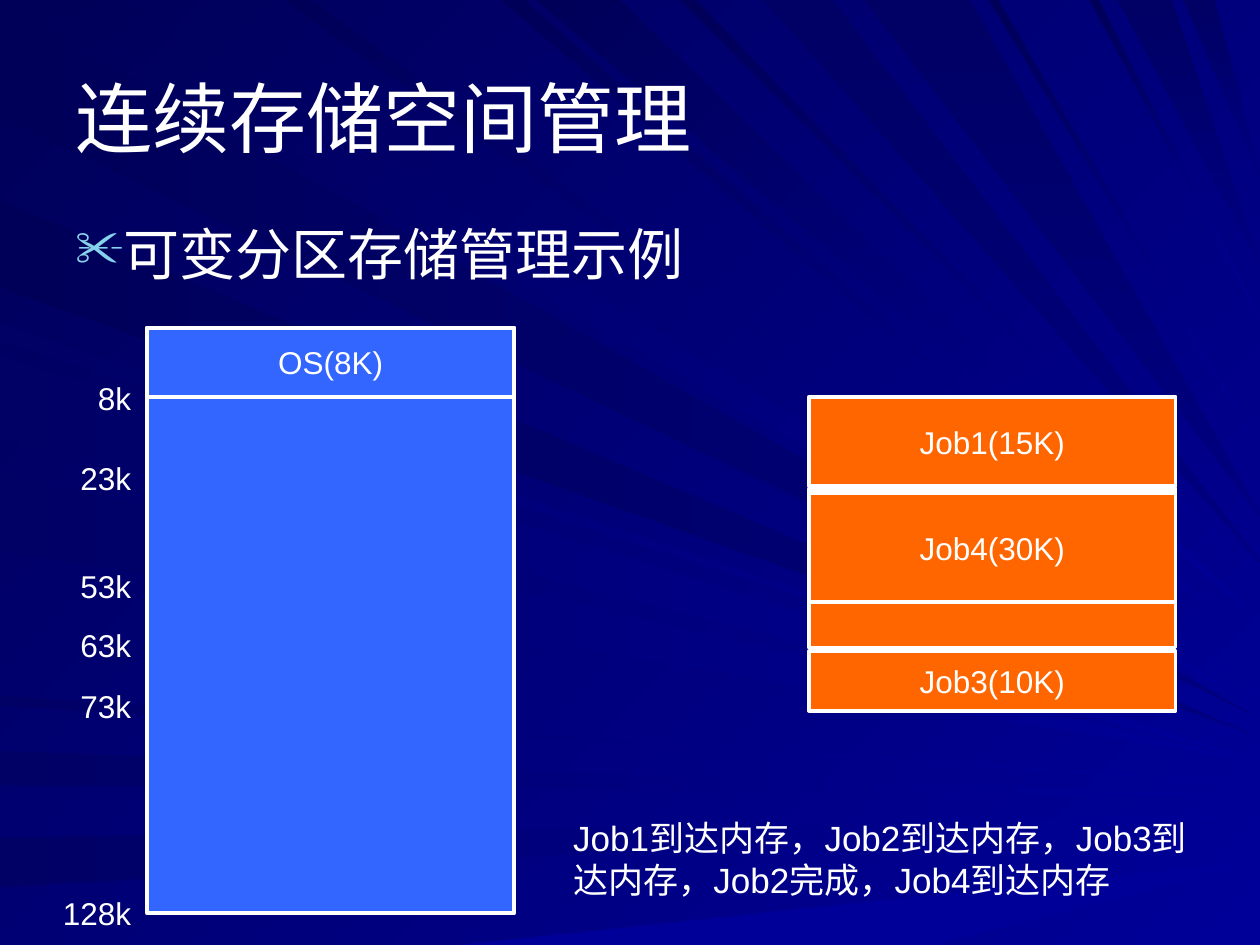
"""Build the slide on variable-partition memory management."""
from lxml import etree
from pptx import Presentation
from pptx.dml.color import RGBColor
from pptx.enum.shapes import MSO_SHAPE
from pptx.enum.text import MSO_ANCHOR, PP_ALIGN
from pptx.oxml.ns import qn
from pptx.util import Inches, Pt

WHITE = RGBColor(0xFF, 0xFF, 0xFF)
BLUE = RGBColor(0x33, 0x66, 0xFF)
ORANGE = RGBColor(0xFF, 0x66, 0x00)
NAVY = RGBColor(0x00, 0x00, 0x99)
MIDDLE_NAVY = RGBColor(0x00, 0x00, 0x80)
DARK_NAVY = RGBColor(0x00, 0x00, 0x58)
SHADOW_NAVY = RGBColor(0x00, 0x00, 0x65)

LEFT_DARK_RAYS = [(0.02, 0.93, 5.7), (1.59, 2.28, 5.85)]
LEFT_RAYS = [
    (5.96, 6.23, 6.32),
    (6.65, 7.04, 6.47),
    (2.58, 2.7, 5.89),
    (3.74, 4.37, 6.05),
    (5.52, 5.6, 6.22),
    (2.83, 3.47, 6.04),
]
TOP_RAYS = [
    (0.26, 1.01, 5.63),
    (2.25, 2.47, 5.5),
    (3.98, 4.16, 5.18),
    (4.26, 4.92, 4.93),
    (5.4, 5.52, 4.63),
    (7.85, 7.92, 3.57),
    (8.65, 8.72, 2.54),
]
TOP_DARK_RAYS = [(6.06, 6.61, 4.46), (6.86, 7.7, 4.09), (8.87, 9.3, 2.1), (9.39, 9.64, 1.4)]
BOTTOM_RAYS = [(3.64, 7.42, 6.83)]

RAY_FAMILIES = [
    ("left", MIDDLE_NAVY, DARK_NAVY, 180, LEFT_DARK_RAYS),
    ("top", NAVY, DARK_NAVY, 225, TOP_RAYS),
    ("top", SHADOW_NAVY, MIDDLE_NAVY, 90, TOP_DARK_RAYS),
    ("bottom", NAVY, NAVY, 180, BOTTOM_RAYS),
    ("left", NAVY, SHADOW_NAVY, 180, LEFT_RAYS),
]

BLOCKS = [
    ("", BLUE, 1.17, 2.6, 4.65),
    ("OS(8K)", BLUE, 1.17, 2.6, 0.55),
    ("Job1(15K)", ORANGE, 6.42, 3.15, 0.71),
    ("", ORANGE, 6.42, 3.88, 1.26),
    ("Job3(10K)", ORANGE, 6.42, 5.17, 0.47),
    ("Job4(30K)", ORANGE, 6.42, 3.91, 0.87),
]

ADDRESS_TOPS = {"8k": 2.96, "23k": 3.59, "53k": 4.45, "63k": 4.92, "73k": 5.4, "128k": 7.05}


def shade(fill, start, end, clockwise_angle):
    """Give a fill a two-colour linear gradient."""
    fill.gradient()
    fill.gradient_angle = 360 - clockwise_angle
    for position, color in enumerate((start, end)):
        stop = fill.gradient_stops[position]
        stop.color.rgb = color
        stop.position = position


def write(box, text, size, align=PP_ALIGN.LEFT, wrap=True):
    """Put one white paragraph into a box and return it."""
    box.text_frame.word_wrap = wrap
    para = box.text_frame.paragraphs[0]
    para.text = text
    para.alignment = align
    para.font.name = "Arial"
    para.font.size = Pt(size)
    para.font.color.rgb = WHITE
    return para


deck = Presentation()
deck.slide_width = Inches(10)
deck.slide_height = Inches(7.5)
page = deck.slides.add_slide(deck.slide_layouts[5])
shade(page.background.fill, NAVY, DARK_NAVY, 225)

rays = page.shapes.add_group_shape()
for edge, start_color, end_color, angle, family in RAY_FAMILIES:
    for near, far, tip in family:
        if edge == "left":
            base = [(0, Inches(near)), (0, Inches(far))]
        else:
            base_y = 0 if edge == "top" else deck.slide_height
            base = [(Inches(near), base_y), (Inches(far), base_y)]
        builder = rays.shapes.build_freeform(*base[0])
        builder.add_line_segments([base[1], (deck.slide_width, Inches(tip))], close=True)
        ray = builder.convert_to_shape()
        ray.shadow.inherit = False
        ray.line.fill.background()
        shade(ray.fill, start_color, end_color, angle)

title = page.shapes.title
rays._element.addnext(title._element)
title.left, title.top = Inches(0.5), Inches(0.3)
title.width, title.height = Inches(9), Inches(1.25)
title.text_frame.vertical_anchor = MSO_ANCHOR.MIDDLE
write(title, "连续存储空间管理", 44)

subtitle = page.shapes.add_textbox(Inches(0.5), Inches(1.75), Inches(9), Inches(0.58))
properties = subtitle.text_frame.paragraphs[0]._p.get_or_add_pPr()
properties.set("marL", str(Inches(0.38)))
properties.set("indent", str(-Inches(0.38)))
bullet_color = etree.SubElement(properties, qn("a:buClr"))
etree.SubElement(bullet_color, qn("a:srgbClr"), val="86D1EC")
etree.SubElement(properties, qn("a:buSzPct"), val="90000")
etree.SubElement(properties, qn("a:buChar"), char="✂")
write(subtitle, "可变分区存储管理示例", 32).line_spacing = 0.9

for text, color, left, top, height in BLOCKS:
    block = page.shapes.add_shape(
        MSO_SHAPE.RECTANGLE, Inches(left), Inches(top), Inches(2.91), Inches(height)
    )
    block.shadow.inherit = False
    block.fill.solid()
    block.fill.fore_color.rgb = color
    block.line.color.rgb = WHITE
    block.line.width = Pt(2.25)
    if text:
        block.text_frame.vertical_anchor = MSO_ANCHOR.MIDDLE
        write(block, text, 18, PP_ALIGN.CENTER, wrap=False)

events = page.shapes.add_textbox(Inches(4.45), Inches(6.43), Inches(5.12), Inches(0.77))
write(events, "Job1到达内存，Job2到达内存，Job3到达内存，Job2完成，Job4到达内存", 20)

for text, top in ADDRESS_TOPS.items():
    address = page.shapes.add_textbox(Inches(0.2), Inches(top), Inches(0.94), Inches(0.4))
    write(address, text, 18, PP_ALIGN.RIGHT)

deck.save("out.pptx")
